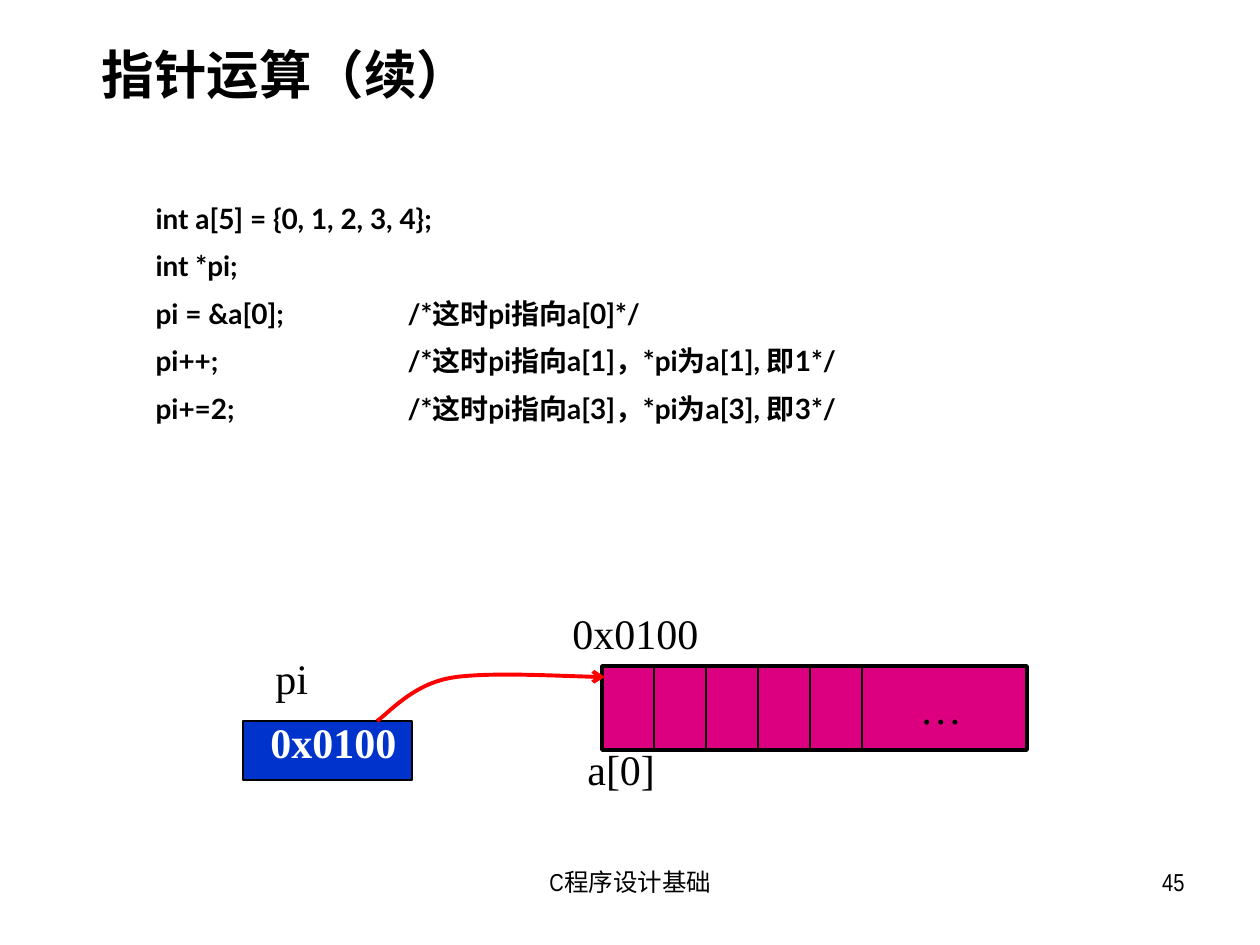
from dataclasses import dataclass

from lxml.etree import SubElement
from pptx import Presentation
from pptx.dml.color import RGBColor
from pptx.enum.shapes import MSO_CONNECTOR as Conn, MSO_SHAPE as Shape
from pptx.enum.text import MSO_ANCHOR as Anchor, MSO_AUTO_SIZE as Auto, PP_ALIGN as Align
from pptx.oxml.ns import qn
from pptx.util import Emu, Pt

EMU_PER_PX = 914400 / 126
SERIF = "Times New Roman"
NARROW = "Arial Narrow"
BLACK = "000000"


@dataclass
class Box:
    x: int
    y: int
    w: int
    h: int


@dataclass
class Label:
    text: str
    box: Box
    size: int = 24
    font: str = SERIF
    color: str = BLACK
    bold: bool = False
    align: Align = Align.LEFT
    anchor: Anchor = Anchor.TOP


TITLE = Label("指针运算（续）", Box(89, 21, 1129, 116), 30, NARROW, bold=True, anchor=Anchor.MIDDLE)
CODE = Label(
    "int a[5] = {0, 1, 2, 3, 4};\n"
    "int *pi;\n"
    "pi = &a[0];\t/*这时pi指向a[0]*/\n"
    "pi++;\t/*这时pi指向a[1]，*pi为a[1], 即1*/\n"
    "pi+=2;\t/*这时pi指向a[3]，*pi为a[3], 即3*/",
    Box(143, 195, 973, 248), 16, "Lato", bold=True)
COMMENT_TAB = 252

ARRAY = Box(602, 666, 425, 84)
CELL_W = 52
CELLS = 5
POINTER = Box(243, 721, 169, 59)
CURVES = [
    [(377, 721), (389, 713), (412, 685), (450, 678)],
    [(450, 678), (488, 671), (573, 677), (605, 677)],
]
STEPS = 16

LABELS = [
    Label("…", Box(863, 666, 156, 84), align=Align.CENTER, anchor=Anchor.MIDDLE),
    Label("a[0]", Box(575, 737, 93, 63)),
    Label("pi", Box(263, 646, 74, 63)),
    Label("0x0100", Box(560, 601, 169, 63)),
    Label("0x0100", Box(258, 710, 174, 63), color="FFFFFF", bold=True),
    Label("C程序设计基础", Box(431, 861, 399, 66), 14, NARROW, align=Align.CENTER),
    Label("45", Box(903, 861, 294, 66), 14, NARROW, align=Align.RIGHT),
]


def px(n: float) -> Emu:
    return Emu(round(n * EMU_PER_PX))


def rgb(color: str) -> RGBColor:
    return RGBColor.from_string(color)


def place(s, box: Box) -> None:
    s.left, s.top, s.width, s.height = px(box.x), px(box.y), px(box.w), px(box.h)


def write(s, label: Label) -> None:
    place(s, label.box)
    tf = s.text_frame
    tf.text = label.text
    tf.word_wrap = True
    tf.auto_size = Auto.NONE
    tf.vertical_anchor = label.anchor
    for p in tf.paragraphs:
        p.alignment = label.align
        for r in p.runs:
            r.font.name = label.font
            r.font.size = Pt(label.size)
            r.font.bold = label.bold
            r.font.color.rgb = rgb(label.color)


def format_code(s) -> None:
    for i, p in enumerate(s.text_frame.paragraphs):
        p.space_before = Pt(8 if i else 0)
        pPr = p._p.get_or_add_pPr()
        pPr.set("marL", "0")
        pPr.set("indent", "0")
        pPr.set("defTabSz", str(px(COMMENT_TAB)))
        SubElement(pPr, qn("a:buNone"))


def stroke(s, color: str, width: float) -> None:
    s.line.color.rgb = rgb(color)
    s.line.width = Pt(width)


def draw_rect(shapes, box: Box, fill: str, width: float) -> None:
    s = shapes.add_shape(Shape.RECTANGLE, 0, 0, 0, 0)
    place(s, box)
    s.shadow.inherit = False
    s.fill.solid()
    s.fill.fore_color.rgb = rgb(fill)
    stroke(s, BLACK, width)


def draw_divider(shapes, x: int) -> None:
    s = shapes.add_connector(Conn.STRAIGHT, px(x), px(ARRAY.y), px(x), px(ARRAY.y + ARRAY.h))
    stroke(s, BLACK, 1)
    SubElement(s._element.spPr, qn("a:effectLst"))


def bezier(curve: list[tuple[int, int]], t: float) -> tuple[Emu, Emu]:
    u = 1 - t
    weights = (u**3, 3 * u * u * t, 3 * u * t * t, t**3)
    x, y = (sum(w * c for w, c in zip(weights, axis)) for axis in zip(*curve))
    return px(x), px(y)


def draw_arrow(shapes) -> None:
    builder = shapes.build_freeform(*bezier(CURVES[0], 0))
    points = [bezier(curve, i / STEPS) for curve in CURVES for i in range(1, STEPS + 1)]
    builder.add_line_segments(points, close=False)
    s = builder.convert_to_shape()
    s.shadow.inherit = False
    s.fill.background()
    stroke(s, "FF0000", 2.25)
    SubElement(s.line._get_or_add_ln(), qn("a:tailEnd"), type="arrow")


def main() -> None:
    prs = Presentation()
    prs.slide_width, prs.slide_height = px(1260), px(945)
    shapes = prs.slides.add_slide(prs.slide_layouts[1]).shapes
    title, code = shapes.placeholders
    write(title, TITLE)
    title.text_frame.paragraphs[0].line_spacing = 0.8
    write(code, CODE)
    format_code(code)

    draw_rect(shapes, ARRAY, "DC0081", 2.25)
    for i in range(1, CELLS + 1):
        draw_divider(shapes, ARRAY.x + i * CELL_W)
    draw_rect(shapes, POINTER, "0033CC", 0.75)
    draw_arrow(shapes)
    for label in LABELS:
        write(shapes.add_textbox(0, 0, 0, 0), label)
    prs.save("out.pptx")


if __name__ == "__main__":
    main()
